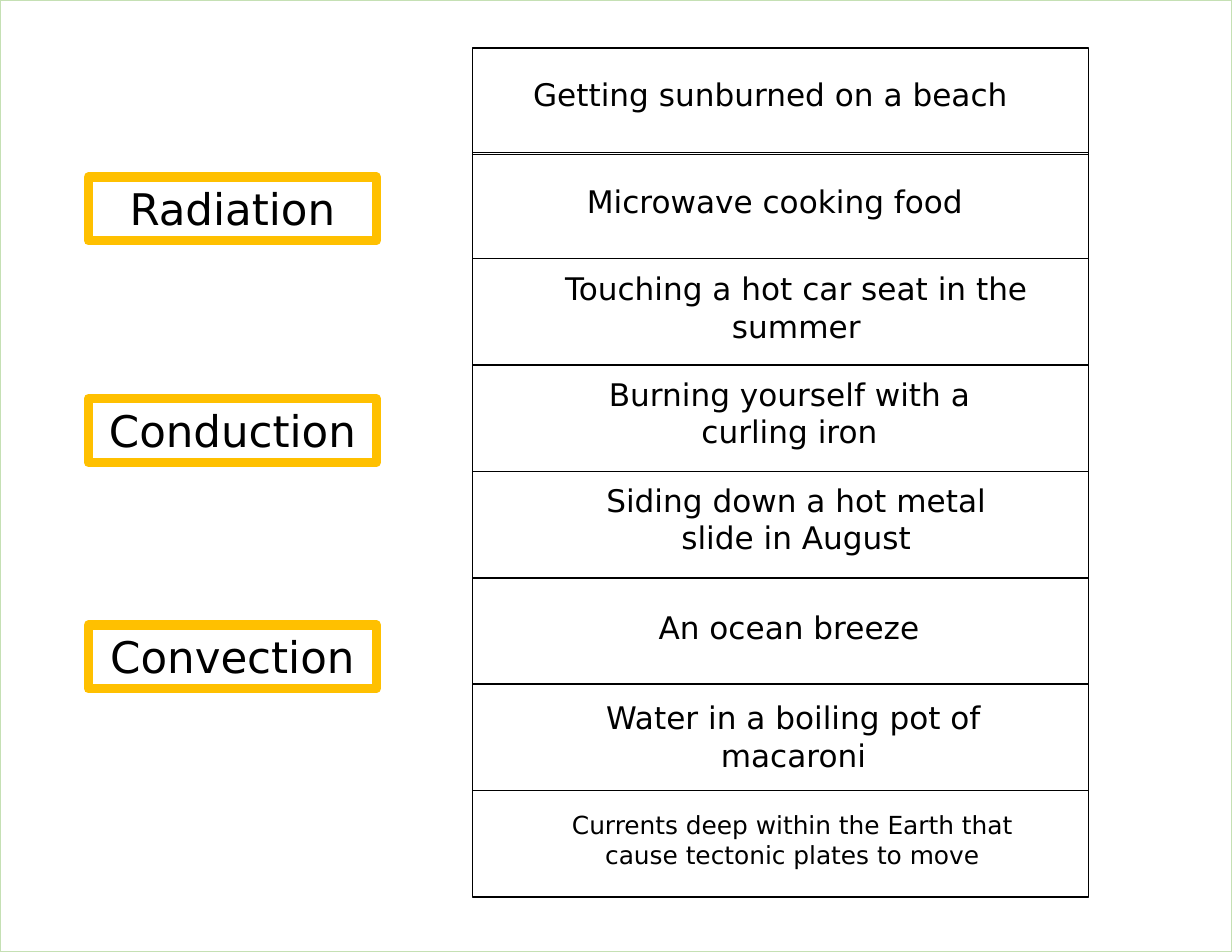
from pptx import Presentation
from pptx.dml.color import RGBColor
from pptx.enum.shapes import MSO_SHAPE
from pptx.enum.text import MSO_ANCHOR, MSO_AUTO_SIZE, PP_ALIGN
from pptx.util import Inches, Pt

FONT = "DejaVu Sans"
BLACK, WHITE, GOLD, PALE_GREEN = "000000", "FFFFFF", "FFC000", "C5E0B4"
SLIDE_WIDTH, SLIDE_HEIGHT = 11, 8.5

# Heat transfer type, top
CATEGORIES = [("Radiation", 1.58), ("Conduction", 3.56), ("Convection", 5.58)]
CATEGORY_LEFT, CATEGORY_WIDTH, CATEGORY_HEIGHT = 0.79, 2.57, 0.57

# Text, size, then left, top, width and height of its text box
EXAMPLES = [
    ("Getting sunburned on a beach", 20, (4.41, 0.62, 4.94, 0.44)),
    ("Microwave cooking food", 20, (4.49, 1.58, 4.86, 0.44)),
    ("Touching a hot car seat in the summer", 20, (4.87, 2.36, 4.48, 0.77)),
    ("Burning yourself with a curling iron", 20, (4.95, 3.3, 4.2, 0.77)),
    ("Siding down a hot metal slide in August", 20, (5.01, 4.25, 4.2, 0.77)),
    ("An ocean breeze", 20, (4.78, 5.38, 4.53, 0.44)),
    ("Water in a boiling pot of macaroni", 20, (4.82, 6.19, 4.53, 0.77)),
    ("Currents deep within the Earth that cause tectonic plates to move", 16,
     (4.81, 7.18, 4.53, 0.64)),
]
ROW_LEFT, ROW_WIDTH, ROW_HEIGHT = 4.22, 5.5, 0.95
FIRST_ROW_TOP, SECOND_ROW_TOP = 0.43, 1.36


def color(hex_string):
    return RGBColor.from_string(hex_string)


def add_box(slide, position, line_color, line_width, fill=None):
    shape = slide.shapes.add_shape(MSO_SHAPE.RECTANGLE, *map(Inches, position))
    shape.shadow.inherit = False
    if fill:
        shape.fill.solid()
        shape.fill.fore_color.rgb = color(fill)
    else:
        shape.fill.background()
    shape.line.color.rgb = color(line_color)
    shape.line.width = Pt(line_width)
    return shape


def write(shape, text, size):
    frame = shape.text_frame
    frame.word_wrap = True
    frame.auto_size = MSO_AUTO_SIZE.SHAPE_TO_FIT_TEXT
    frame.vertical_anchor = MSO_ANCHOR.TOP
    paragraph = frame.paragraphs[0]
    paragraph.alignment = PP_ALIGN.CENTER
    run = paragraph.add_run()
    run.text = text
    run.font.name = FONT
    run.font.size = Pt(size)
    run.font.color.rgb = color(BLACK)


def main():
    presentation = Presentation()
    presentation.slide_width = Inches(SLIDE_WIDTH)
    presentation.slide_height = Inches(SLIDE_HEIGHT)
    slide = presentation.slides.add_slide(presentation.slide_layouts[6])

    add_box(slide, (0, 0, SLIDE_WIDTH, SLIDE_HEIGHT), PALE_GREEN, 1, WHITE)

    for name, top in CATEGORIES:
        position = (CATEGORY_LEFT, top, CATEGORY_WIDTH, CATEGORY_HEIGHT)
        write(add_box(slide, position, GOLD, 6), name, 28)

    for index, (text, size, text_position) in enumerate(EXAMPLES):
        # The first row overlaps the second, so their shared border is double
        top = SECOND_ROW_TOP + (index - 1) * ROW_HEIGHT if index else FIRST_ROW_TOP
        add_box(slide, (ROW_LEFT, top, ROW_WIDTH, ROW_HEIGHT), BLACK, 1)
        write(slide.shapes.add_textbox(*map(Inches, text_position)), text, size)

    presentation.save("out.pptx")


if __name__ == "__main__":
    main()
